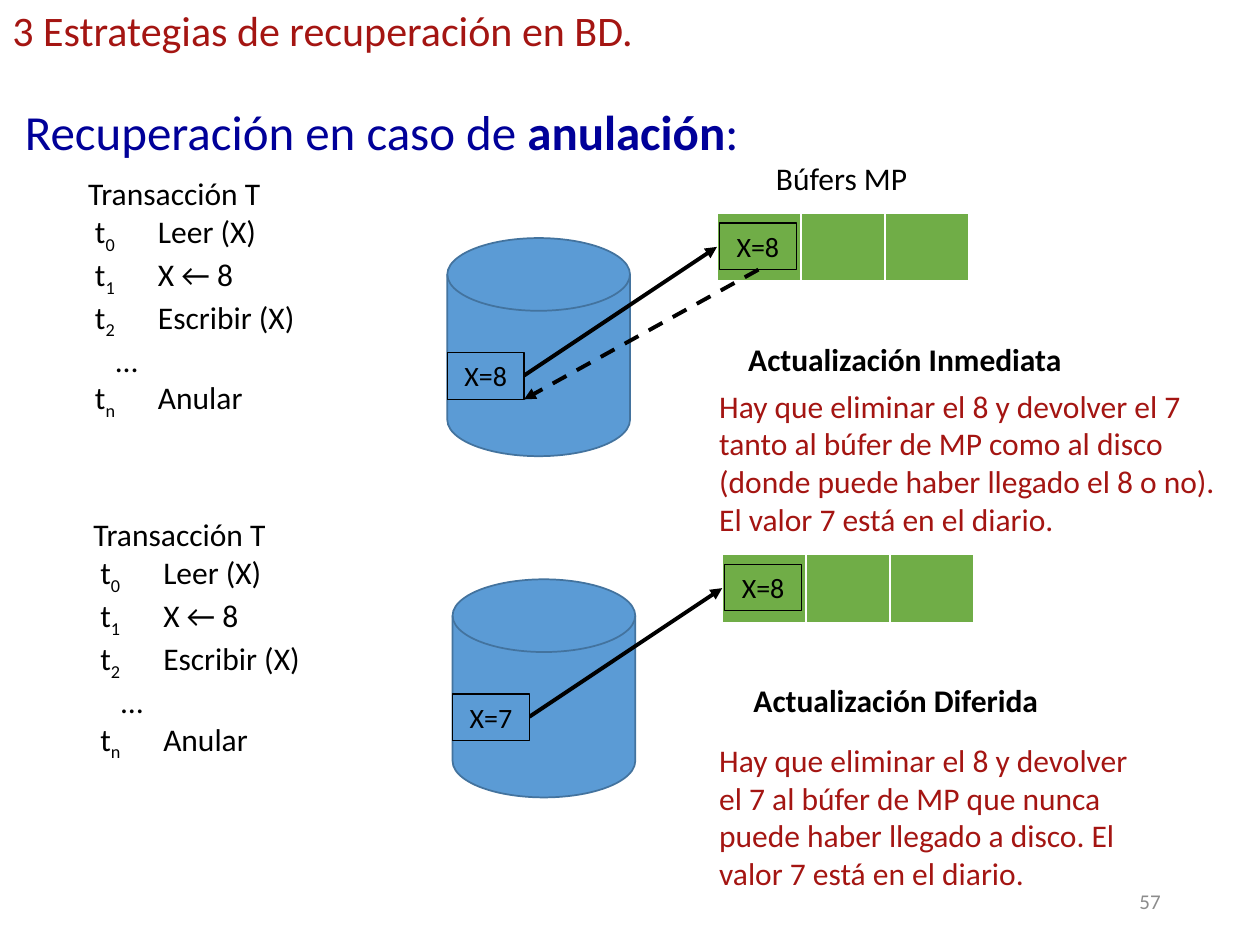
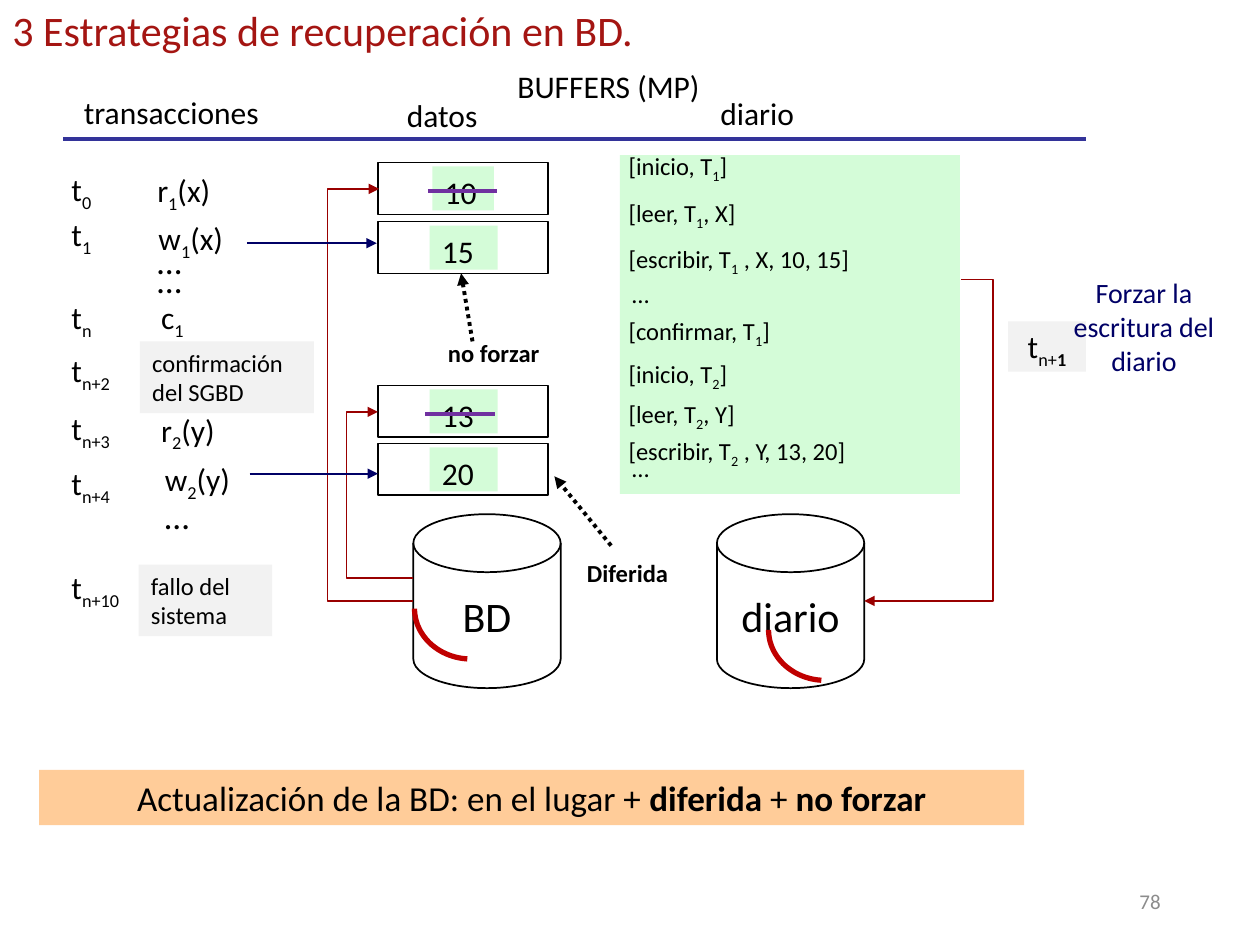
"""Builds two slides on database recovery strategies."""
import math

from lxml import etree
from pptx import Presentation
from pptx.dml.color import RGBColor
from pptx.enum.dml import MSO_LINE
from pptx.enum.shapes import MSO_CONNECTOR, MSO_SHAPE
from pptx.enum.text import MSO_ANCHOR, PP_ALIGN
from pptx.oxml.ns import qn
from pptx.util import Pt

RECTANGLE = MSO_SHAPE.RECTANGLE
DISK = MSO_SHAPE.FLOWCHART_MAGNETIC_DISK
LEFT, CENTER, RIGHT = PP_ALIGN.LEFT, PP_ALIGN.CENTER, PP_ALIGN.RIGHT
TOP, MIDDLE = MSO_ANCHOR.TOP, MSO_ANCHOR.MIDDLE
DASH, DOTS = MSO_LINE.DASH, MSO_LINE.ROUND_DOT
STRAIGHT, ELBOW = MSO_CONNECTOR.STRAIGHT, MSO_CONNECTOR.ELBOW

FONT = "Calibri"
TITLE = "3 Estrategias de recuperación en BD."
COLORS = {
    "black": "000000", "white": "FFFFFF", "gray": "8C8C8C", "title": "A41512",
    "subtitle": "000099", "disk": "5B9BD5", "disk_edge": "43739E",
    "buffer": "70AD47", "band": "FFCC99", "log": "D4FCD8", "event": "F2F2F2",
    "rule": "333399", "write": "000066", "flow": "990000", "strike": "7030A0",
    "arc": "C00000",
}
COLORS = {name: RGBColor.from_string(value) for name, value in COLORS.items()}


def add_text(slide, box, text="", size=18, color="black", align=LEFT, anchor=TOP,
             kind=None, fill=None, line=None, weight=0.75):
    """Adds a text box or filled shape; _x_ marks subscript and *x* bold."""
    lengths = [Pt(value) for value in box]
    if kind is None:
        shape = slide.shapes.add_textbox(*lengths)
    else:
        shape = slide.shapes.add_shape(kind, *lengths)
        shape.shadow.inherit = False
        if fill:
            shape.fill.solid()
            shape.fill.fore_color.rgb = COLORS[fill]
        else:
            shape.fill.background()
        if line:
            shape.line.color.rgb = COLORS[line]
            shape.line.width = Pt(weight)
        else:
            shape.line.fill.background()
    text_frame = shape.text_frame
    text_frame.word_wrap = True
    text_frame.vertical_anchor = anchor
    text_frame.text = "\n" * text.count("\n")
    for paragraph, content in zip(text_frame.paragraphs, text.split("\n")):
        paragraph.alignment = align
        bold = False
        for level, piece in enumerate(content.split("_")):
            for part_index, part in enumerate(piece.split("*")):
                bold = bold != (part_index > 0)
                if not part:
                    continue
                run = paragraph.add_run()
                run.text = part
                run.font.name = FONT
                run.font.size = Pt(size)
                run.font.bold = bold
                run.font.color.rgb = COLORS[color]
                if level % 2:
                    run.font._element.set("baseline", "-25000")
    return shape


def add_line(slide, start, end, color="black", weight=2.25, dash=None, arrow=True, bend=None):
    """Adds a straight line, or an elbow whose middle leg lies at x = bend."""
    connector = slide.shapes.add_connector(
        STRAIGHT if bend is None else ELBOW, *[Pt(value) for value in (*start, *end)])
    connector.line.color.rgb = COLORS[color]
    connector.line.width = Pt(weight)
    if dash:
        connector.line.dash_style = dash
    properties = connector.element.spPr
    if arrow:
        etree.SubElement(properties.find(qn("a:ln")), qn("a:tailEnd"), type="triangle")
    if bend is not None:
        ratio = round((bend - start[0]) / (end[0] - start[0]) * 100000)
        etree.SubElement(properties.find(".//" + qn("a:avLst")), qn("a:gd"),
                         name="adj1", fmla=f"val {ratio}")
    etree.SubElement(properties, qn("a:effectLst"))


presentation = Presentation()
presentation.slide_width, presentation.slide_height = Pt(720), Pt(540)
slides = []
for number in ("57", "78"):
    slide = presentation.slides.add_slide(presentation.slide_layouts[6])
    add_text(slide, (508.3, 500.4, 162, 28.8), number, 12, "gray", RIGHT, MIDDLE)
    add_text(slide, (0, -0.7, 372, 36), TITLE, 24, "title")
    slides.append(slide)
cancel_slide, log_slide = slides

add_text(cancel_slide, (7.2, 54.7, 462, 41), "Recuperación en caso de *anulación*:", 28, "subtitle")
add_text(cancel_slide, (435.6, 87.1, 90.7, 28.8), "Búfers MP", align=CENTER)

TRANSACTION = "Transacción T\nt_0_\tLeer (X)\nt_1_\tX ← 8\nt_2_\tEscribir (X)\n…\nt_n_\tAnular"
INDENTS = [0, 4, 4, 4, 16, 4]
TABS = [None, 27.4, 27.4, 27.4, None, 23.4]
cases = [
    (0, 0, "X=8", "Inmediata", 217.4, 299.5,
     "Hay que eliminar el 8 y devolver el 7 tanto al búfer de MP como al disco "
     "(donde puede haber llegado el 8 o no). El valor 7 está en el diario."),
    (3, 195, "X=7", "Diferida", 419.8, 261.4,
     "Hay que eliminar el 8 y devolver el 7 al búfer de MP que nunca puede haber "
     "llegado a disco. El valor 7 está en el diario."),
]
for dx, dy, disk_value, update, note_top, note_width, note in cases:
    add_text(cancel_slide, (255.6 + dx, 136.1 + dy, 104.4, 124.6),
             kind=DISK, fill="disk", line="disk_edge", weight=1)
    buffers = cancel_slide.shapes.add_table(
        1, 3, Pt(409.7 + dx), Pt(121.7 + dy), Pt(144), Pt(38.9)).table
    for cell in buffers.iter_cells():
        cell.fill.solid()
        cell.fill.fore_color.rgb = COLORS["buffer"]
    add_line(cancel_slide, (299.5 + dx, 214.6 + dy), (409.7 + dx, 141.1 + dy))
    steps = add_text(cancel_slide, (43.2 + dx, 95.8 + dy, 207.4, 138.2), TRANSACTION)
    for paragraph, indent, tab in zip(steps.text_frame.paragraphs, INDENTS, TABS):
        properties = paragraph._p.get_or_add_pPr()
        properties.set("marL", str(Pt(indent)))
        properties.set("indent", "0")
        if tab:
            tab_list = etree.SubElement(properties, qn("a:tabLst"))
            etree.SubElement(tab_list, qn("a:tab"), pos=str(Pt(tab)), algn="l")
    for left, top, value, fill in ((411.1, 127.4, "X=8", "buffer"),
                                   (255.6, 201.6, disk_value, "disk")):
        add_text(cancel_slide, (left + dx, top + dy, 43.9, 26.6), value, 16,
                 align=CENTER, kind=RECTANGLE, fill=fill, line="black")
    add_text(cancel_slide, (420.5 + dx, 190.8 + dy, 210, 28.8), f"*Actualización {update}*")
    add_text(cancel_slide, (403.9, note_top, note_width, 94.3), note, color="title")
add_line(cancel_slide, (433.4, 154.1), (299.5, 228.2), dash=DASH)

add_text(log_slide, (22.3, 439.9, 563, 31.7),
         "Actualización de la BD: en el lugar + *diferida* + *no forzar*",
         20, align=CENTER, kind=RECTANGLE, fill="band")
add_line(log_slide, (36, 79.2), (620.6, 79.2), "rule", arrow=False)
headers = [
    (25.9, 49.7, 144, "transacciones", CENTER), (225.4, 51.1, 74, "datos", LEFT),
    (404.6, 50.4, 70.6, "diario", LEFT), (285.8, 34.6, 124, "BUFFERS (MP)", CENTER),
]
for left, top, width, header, align in headers:
    add_text(log_slide, (left, top, width, 28.8), header, align=align)

times = [("0", 93.6), ("1", 119.5), ("n", 167), ("n+2", 197.3),
         ("n+3", 230.4), ("n+4", 261.4), ("n+10", 321.1)]
for moment, top in times:
    add_text(log_slide, (33.8, top, 50, 28.8), f"t_{moment}_")
operations = [
    ("r_1_(x)", 82.8, 94.3, 18), ("w_1_(x)", 83.5, 121.7, 18), ("…", 82.8, 133.2, 20),
    ("…", 82.8, 144, 20), ("c_1_", 85, 167, 18), ("r_2_(y)", 85, 231.1, 18),
    ("w_2_(y)", 87.1, 259.2, 18), ("…", 87.1, 279, 20),
]
for operation, left, top, size in operations:
    add_text(log_slide, (left, top, 72, 28.8), operation, size)
for event, left, top, width in (("confirmación del SGBD", 79.9, 195.1, 99.4),
                                ("fallo del sistema", 79.2, 322.6, 76.3)):
    add_text(log_slide, (left, top, width, 41), event, 14, kind=RECTANGLE, fill="event")

add_text(log_slide, (354.2, 88.6, 194.4, 193.7), kind=RECTANGLE, fill="log")
log_entries = [
    ("[inicio, T_1_]", 82.8), ("[leer, T_1_, X]", 109.4),
    ("[escribir, T_1_ , X, 10, 15]", 136.1), ("…", 156.2), ("[confirmar, T_1_]", 177.1),
    ("[inicio, T_2_]", 201.6), ("[leer, T_2_, Y]", 224.6),
    ("[escribir, T_2_ , Y, 13, 20]", 245.5), ("…", 255.6),
]
for entry, top in log_entries:
    left = 354.2 if entry == "…" else 352.1
    add_text(log_slide, (left, top, 180, 24.5), entry, 14)

buffer_values = [("10", 92.9, 247, 35.3, True), ("15", 126.7, 245.5, 38.9, False),
                 ("13", 220.3, 245.5, 38.9, True), ("20", 253.4, 245.5, 38.9, False)]
for value, top, left, width, replaced in buffer_values:
    add_text(log_slide, (216, top, 97.2, 29.5), kind=RECTANGLE, fill="white", line="black")
    add_text(log_slide, (left, top + 2.2, width, 25.2), value, kind=RECTANGLE, fill="log")
    if replaced:
        add_line(log_slide, (left - 2.5, top + 16.2), (left + 37.1, top + 16.2),
                 "strike", arrow=False)

for name, left in (("BD", 236.2), ("diario", 409.7)):
    add_text(log_slide, (left, 293.8, 84.2, 99.4), name, 24, align=CENTER, anchor=MIDDLE,
             kind=DISK, fill="white", line="black", weight=1)
for start, end, bend in (((236.2, 330.5), (216, 235.4), 198),
                         ((236.2, 343.4), (216.7, 108), 187.2),
                         ((549.4, 159.8), (493.9, 343.4), 567.4)):
    add_line(log_slide, start, end, "flow", 1, bend=bend)
for start, end in (((141.1, 139), (215.3, 139)), ((142.6, 270.7), (216, 270.7))):
    add_line(log_slide, start, end, "write", 1)

for left, top in ((236.9, 347.8), (439.2, 360)):
    points = []
    for degrees in range(94, 181, 2):
        angle = math.radians(degrees)
        points.append((Pt(left + 32.4 + 32.4 * math.cos(angle)),
                       Pt(top + 28.8 * math.sin(angle))))
    builder = log_slide.shapes.build_freeform(*points[0])
    builder.add_line_segments(points[1:], close=False)
    arc = builder.convert_to_shape()
    arc.shadow.inherit = False
    arc.fill.background()
    arc.line.color.rgb = COLORS["arc"]
    arc.line.width = Pt(3)

add_text(log_slide, (576, 183.6, 44.6, 28.8), "t_n+*1*_", align=CENTER,
         kind=RECTANGLE, fill="event")
add_text(log_slide, (606.2, 154.1, 95, 65.5), "Forzar la escritura del diario",
         16, "write", CENTER)
policies = [("no forzar", (229.7, 189.4, 105, 24.5), (270, 195.1), (263.5, 156.2)),
            ("Diferida", (312.5, 315.4, 92.2, 24.5), (349.2, 311.8), (316.8, 272.2))]
for policy, box, start, end in policies:
    add_text(log_slide, box, f"*{policy}*", 14, align=CENTER)
    add_line(log_slide, start, end, dash=DOTS)

presentation.save("out.pptx")
